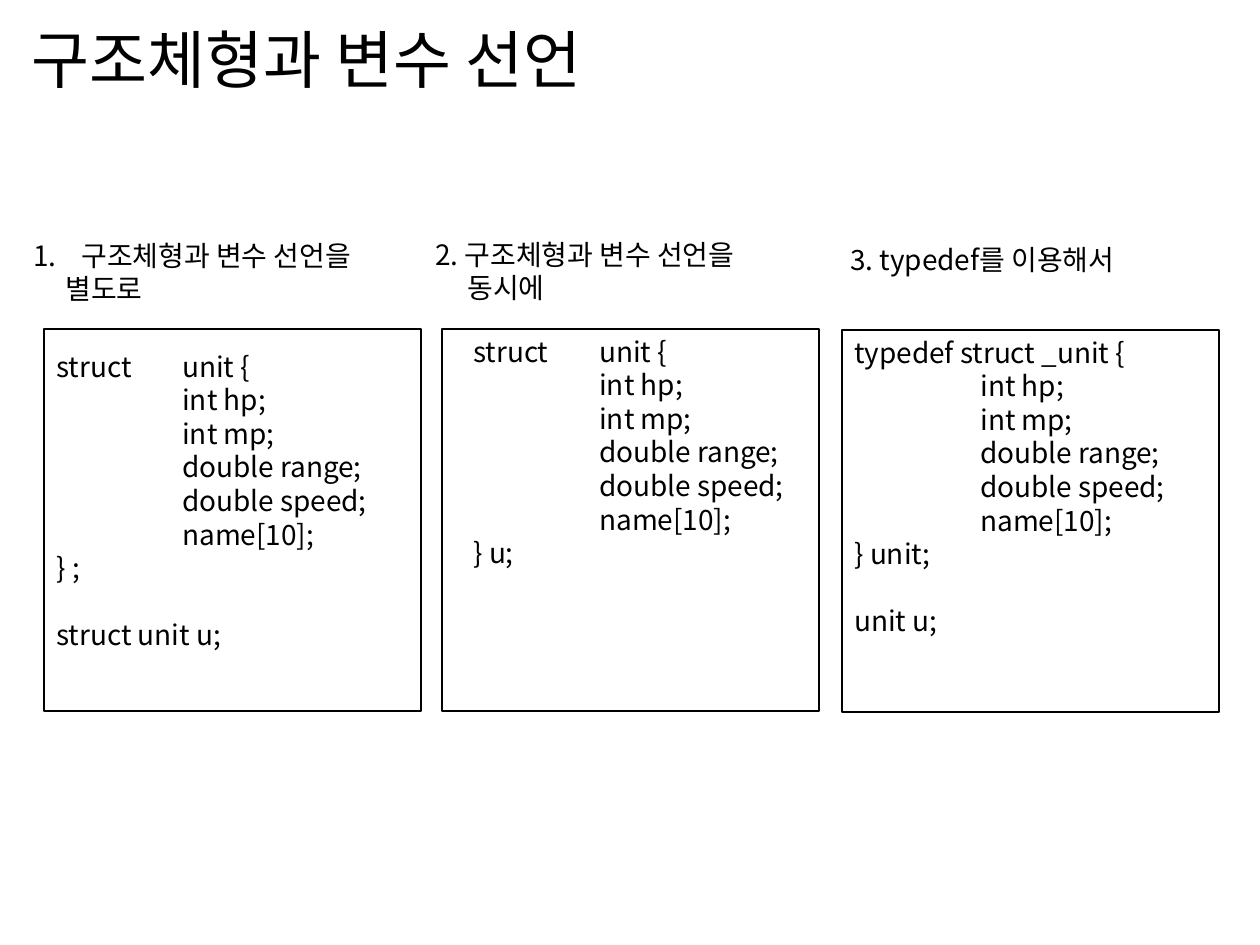
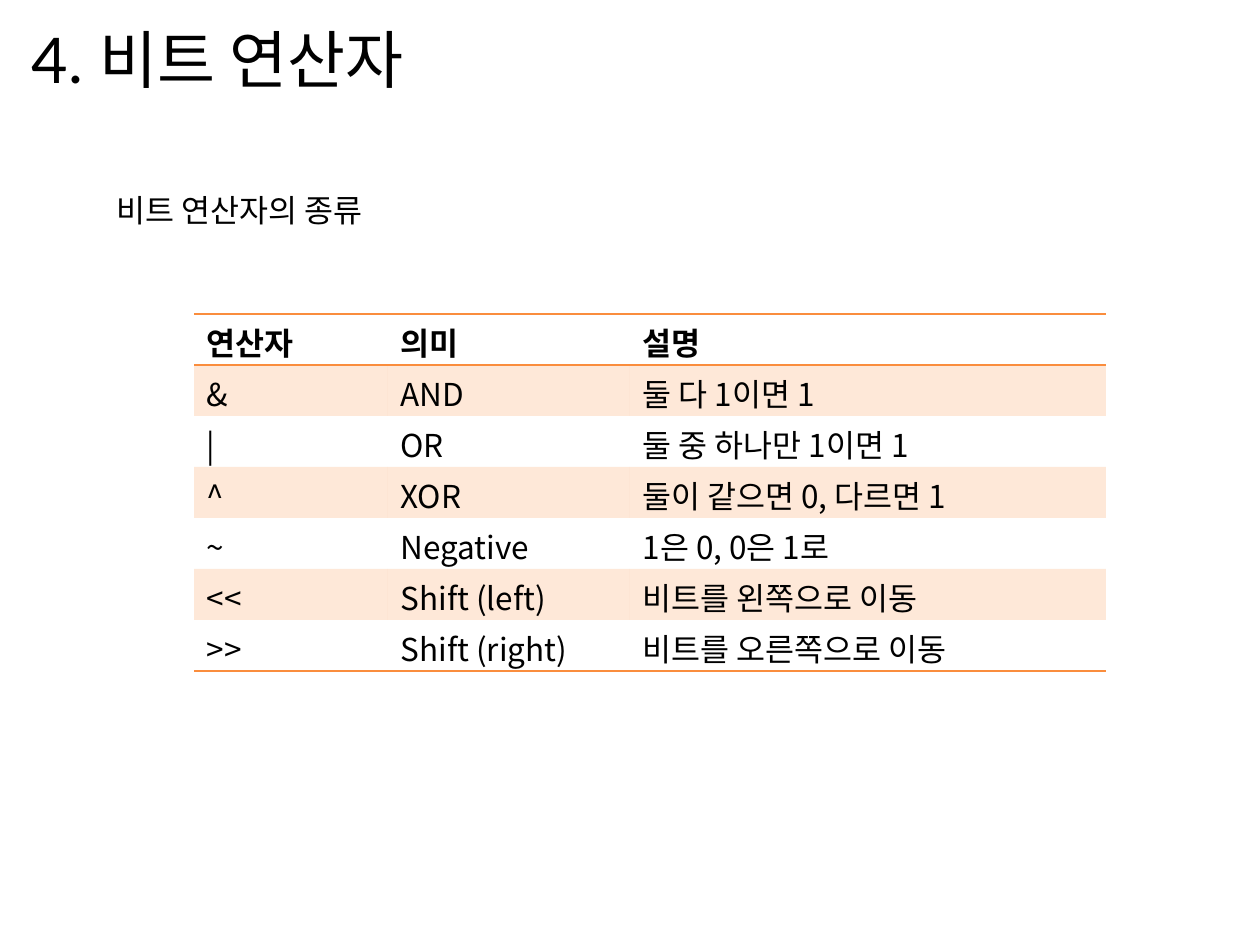
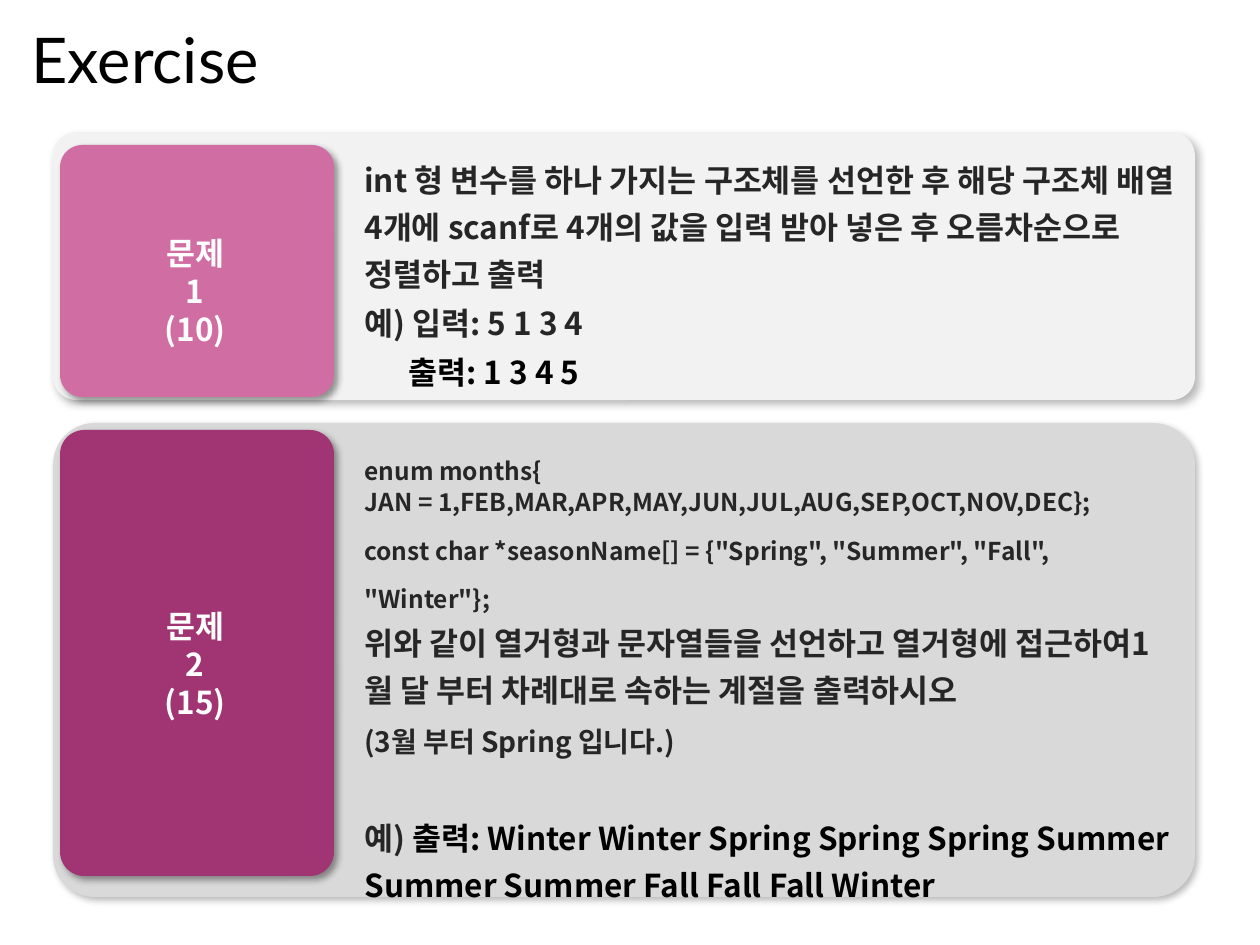
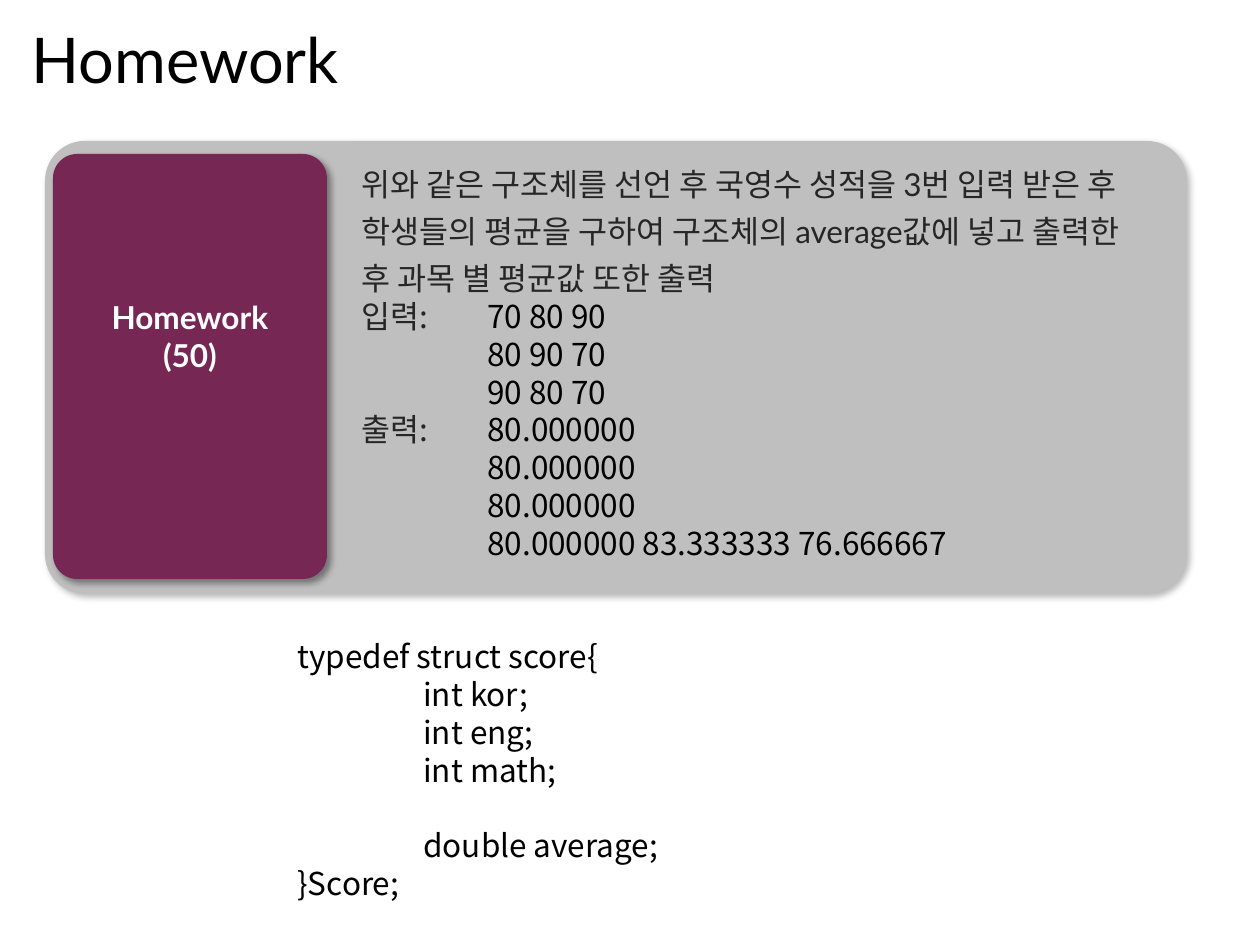
from dataclasses import dataclass

from lxml.etree import SubElement
from pptx import Presentation
from pptx.dml.color import RGBColor
from pptx.enum.shapes import MSO_SHAPE as Preset
from pptx.enum.text import MSO_ANCHOR as Anchor, MSO_AUTO_SIZE as AutoSize, PP_ALIGN as Align
from pptx.oxml.ns import qn
from pptx.util import Emu, Pt

KOREAN, LATIN = "Noto Sans CJK KR", "Lato"
BLACK, WHITE, INK, ORANGE = "000000", "FFFFFF", "262626", "FA8D3D"
TAB = 126
PLAIN_TABLE = "{2D5ABB26-0587-4C30-8999-92F81FD0307C}"
LOOSE = 27


@dataclass
class Line:
    """One paragraph: its spans as (text, colour) pairs and its layout."""

    spans: list
    size: int = 18
    font: str = KOREAN
    bold: bool = False
    spacing: float = 0
    before: float = 0
    margin: int = 0
    hanging: int = 0
    align: Align = Align.LEFT


def px(length):
    """Turn pixels into EMU."""
    return Emu(round(length * 914400 / 126))


def rgb(code):
    """Turn a hex string into a colour."""
    return RGBColor.from_string(code)


def add_span(para, text, color, line):
    """Add one run in the font of its line."""
    span = para.add_run()
    span.text = text
    font = span.font
    font.name, font.size, font.bold = line.font, Pt(line.size), line.bold
    font.color.rgb = rgb(color)
    SubElement(font._element, qn("a:ea"), typeface=KOREAN)


def write(frame, lines):
    """Fill a text frame with lines."""
    frame.word_wrap = True
    for index, line in enumerate(lines):
        para = frame.add_paragraph() if index else frame.paragraphs[0]
        para.alignment = line.align
        para.line_spacing = Pt(line.spacing or line.size * 1.2)
        para.space_before = Pt(line.before)
        props = para._p.get_or_add_pPr()
        props.set("marL", str(px(line.margin)))
        props.set("indent", str(px(-line.hanging)))
        if line.hanging:
            SubElement(props, qn("a:buFont"), typeface="+mj-lt")
            SubElement(props, qn("a:buAutoNum"), type="arabicPeriod")
        if any("\t" in text for text, _ in line.spans):
            tabs = SubElement(props, qn("a:tabLst"))
            SubElement(tabs, qn("a:tab"), pos=str(px(TAB)), algn="l")
        for text, color in line.spans:
            add_span(para, text, color, line)


def add_text(page, box, lines):
    """Add a text box with lines."""
    write(page.shapes.add_textbox(*map(px, box)).text_frame, lines)


def add_code(page, box, groups, size):
    """Add source code as (indented, text) rows in groups one row apart."""
    lines = []
    for group in groups:
        for index, (indented, text) in enumerate(group):
            gap = size * 1.2 if lines and index == 0 else 0
            lines.append(Line([(text, BLACK)], size, before=gap, margin=TAB * indented))
    add_text(page, box, lines)


def add_page(deck, title, font=LATIN):
    """Add a slide with its title."""
    page = deck.slides.add_slide(deck.slide_layouts[5])
    write(page.shapes.title.text_frame, [Line([(title, BLACK)], 36, font)])
    return page


def style_title(deck):
    """Place the title on the layout that all slides share."""
    title = deck.slide_layouts[5].placeholders[0]
    title.left, title.top, title.width, title.height = map(px, (19, 15, 1134, 87))
    title.text_frame.auto_size = AutoSize.NONE
    title.text_frame.vertical_anchor = Anchor.MIDDLE


def add_card(page, box, color, opacity):
    """Add a rounded card with a soft shadow."""
    card = page.shapes.add_shape(Preset.ROUNDED_RECTANGLE, *map(px, box))
    card.adjustments[0] = 0.088
    card.fill.solid()
    card.fill.fore_color.rgb = rgb(color)
    card.line.fill.background()
    card.shadow.inherit = False
    effects = card._element.spPr.find(qn("a:effectLst"))
    shadow = SubElement(effects, qn("a:outerShdw"), blurRad=str(Pt(4)), dist=str(Pt(3)),
                        dir=str(45 * 60000), algn="tl", rotWithShape="0")
    tint = SubElement(shadow, qn("a:srgbClr"), val=BLACK)
    SubElement(tint, qn("a:alpha"), val=str(opacity * 1000))


def add_task(page, box, colors, tile, label_box, label, text_box, lines):
    """Add a task panel: card, coloured tile with a label, and the task text."""
    left, top = box[:2]

    def inside(part):
        """Move a part from panel to slide coordinates."""
        return (left + part[0], top + part[1], *part[2:])

    card_color, tile_color = colors
    label_font, label_rows = label
    add_card(page, box, card_color, 27)
    add_card(page, inside(tile), tile_color, 40)
    add_text(page, inside(label_box),
             [Line([(row, WHITE)], font=label_font, bold=True, align=Align.CENTER)
              for row in label_rows])
    add_text(page, inside(text_box), lines)


def add_declaration(page, box, heading_box, heading, code_offset, groups):
    """Add one way to declare a struct: heading, frame and code."""
    left, top, width, height = box
    frame = page.shapes.add_shape(Preset.RECTANGLE, *map(px, box))
    frame.fill.background()
    frame.line.color.rgb = rgb(BLACK)
    frame.line.width = Pt(1.5)
    frame.shadow.inherit = False
    across, down = code_offset
    add_code(page, (left + across, top + down, width, height - down), groups, 16)
    add_text(page, heading_box, heading)


def declarations_page(deck):
    """Build the slide on struct declarations."""
    page = add_page(deck, "구조체형과 변수 선언", KOREAN)
    fields = [(True, text) for text in
              ("int hp;", "int mp;", "double range;", "double speed;", "name[10];")]
    opening = (False, "struct\tunit {")
    first = "구조체형과 변수 선언을"
    add_declaration(page, (44, 329, 377, 382), (21, 232, 384, 81),
                    [Line([(first, BLACK)], 16, margin=48, hanging=48),
                     Line([("별도로", BLACK)], 16, margin=32)],
                    (0, 14), [[opening, *fields, (False, "} ;")],
                              [(False, "struct unit u;")]])
    add_declaration(page, (442, 329, 377, 382), (423, 231, 374, 81),
                    [Line([("2. " + first, BLACK)], 16),
                     Line([("동시에", BLACK)], 16, margin=32)],
                    (19, -1), [[opening, *fields, (False, "} u;")]])
    add_declaration(page, (842, 330, 377, 382), (838, 236, 326, 47),
                    [Line([("3. typedef를 이용해서", BLACK)], 16)],
                    (0, -1), [[(False, "typedef struct _unit {"), *fields, (False, "} unit;")],
                              [(False, "unit u;")]])


def add_border(cell, side):
    """Draw an orange border on one side of a cell."""
    props = cell._tc.get_or_add_tcPr()
    border = SubElement(props, qn("a:" + side), w=str(Pt(1)))
    SubElement(SubElement(border, qn("a:solidFill")), qn("a:srgbClr"), val=ORANGE)


def fill_cell(cell, text, row, last):
    """Write a cell and give it the borders and the band of its row."""
    cell.margin_top, cell.margin_bottom = px(13), 0
    write(cell.text_frame, [Line([(text, BLACK)], bold=row == 0)])
    if row == 0:
        add_border(cell, "lnT")
    if row in (0, last):
        add_border(cell, "lnB")
    if row % 2:
        cell.fill.solid()
        cell.fill.fore_color.rgb = rgb(ORANGE)
        tint = cell._tc.tcPr.find(qn("a:solidFill")).find(qn("a:srgbClr"))
        SubElement(tint, qn("a:alpha"), val="20000")
    else:
        cell.fill.background()


def add_grid(page, left, top, widths, row_height, rows):
    """Add a table with a ruled header and bands."""
    holder = page.shapes.add_table(len(rows), len(widths), px(left), px(top),
                                   px(sum(widths)), px(row_height * len(rows)))
    table = holder.table
    table.first_row = table.horz_banding = False
    table._tbl.tblPr.find(qn("a:tableStyleId")).text = PLAIN_TABLE
    for column, width in zip(table.columns, widths):
        column.width = px(width)
    for index, texts in enumerate(rows):
        table.rows[index].height = px(row_height)
        for column, text in enumerate(texts):
            fill_cell(table.cell(index, column), text, index, len(rows) - 1)


def operators_page(deck):
    """Build the slide on bit operators."""
    page = add_page(deck, "4. 비트 연산자")
    add_text(page, (104, 185, 301, 50), [Line([("비트 연산자의 종류", BLACK)])])
    add_grid(page, 194, 314, (194, 242, 476), 51, [
        ("연산자", "의미", "설명"),
        ("&", "AND", "둘 다 1이면 1"),
        ("|", "OR", "둘 중 하나만 1이면 1"),
        ("^", "XOR", "둘이 같으면 0, 다르면 1"),
        ("~", "Negative", "1은 0, 0은 1로"),
        ("<<", "Shift (left)", "비트를 왼쪽으로 이동"),
        (">>", "Shift (right)", "비트를 오른쪽으로 이동"),
    ])


def task_line(*spans, size=18, spacing=LOOSE, before=1, margin=0):
    """Make a bold line of an exercise."""
    return Line(list(spans), size, bold=True, spacing=spacing, before=before, margin=margin)


def exercise_page(deck):
    """Build the slide with two exercises."""
    page = add_page(deck, "Exercise")
    add_task(page, (53, 132, 1142, 268), ("F2F2F2", "D06EA4"), (7, 13, 274, 252),
             (96, 96, 92, 90), (KOREAN, ("문제 1", "(10)")), (299, 13, 839, 255), [
        task_line(("int 형 변수를 하나 가지는 구조체를 선언한 후 해당 구조체 배열 4개에 "
                   "scanf로 4개의 값을 입력 받아 넣은 후 오름차순으로 정렬하고 출력", INK)),
        task_line(("예) 입력: 5 1 3 4", INK)),
        task_line(("출력: 1 3 4 5", BLACK), margin=44),
    ])
    add_task(page, (53, 423, 1142, 474), ("D9D9D9", "A13573"), (7, 7, 274, 446),
             (96, 178, 92, 90), (KOREAN, ("문제 2", "(15)")), (299, 27, 839, 417), [
        task_line(("enum months{", INK), size=14, spacing=0),
        task_line(("JAN = 1,FEB,MAR,APR,MAY,JUN,JUL,AUG,SEP,OCT,NOV,DEC};", INK),
                  size=14, spacing=0),
        task_line(('const char *seasonName[] = {"Spring", "Summer", "Fall", "Winter"};', INK),
                  size=14),
        task_line(("위와 같이 열거형과 문자열들을 선언하고 열거형에 접근하여1월 달 부터 "
                   "차례대로 속하는 계절을 출력하시오", INK)),
        task_line(("(3월 부터 Spring 입니다.)", INK), size=16),
        task_line(("예) ", INK),
                  ("출력: Winter Winter Spring Spring Spring Summer Summer Summer "
                   "Fall Fall Fall Winter", BLACK), before=LOOSE + 2),
    ])


def homework_page(deck):
    """Build the slide with the homework and its struct."""
    page = add_page(deck, "Homework")
    inputs = ("70 80 90", "80 90 70", "90 80 70")
    outputs = ("80.000000", "80.000000", "80.000000", "80.000000 83.333333 76.666667")
    results = []
    for name, (head, *rest) in (("입력:\t", inputs), ("출력:\t", outputs)):
        results.append(Line([(name, INK), (head, BLACK)]))
        results += [Line([(values, BLACK)], margin=TAB) for values in rest]
    add_task(page, (45, 141, 1142, 453), ("BFBFBF", "772754"), (8, 13, 274, 425),
             (45, 151, 200, 90), (LATIN, ("Homework", "(50)")), (304, 8, 815, 423), [
        Line([("위와 같은 구조체를 선언 후 국영수 성적을 3번 입력 받은 후 학생들의 평균을 "
               "구하여 구조체의 average값에 넣고 출력한 후 과목 별 평균값 또한 출력", INK)],
             font=LATIN, spacing=LOOSE, before=1),
        *results,
    ])
    add_code(page, (285, 631, 630, 280), [
        [(False, "typedef struct score{"), (True, "int kor;"), (True, "int eng;"),
         (True, "int math;")],
        [(True, "double average;"), (False, "}Score;")],
    ], 18)


def main():
    """Build the deck and save it."""
    deck = Presentation()
    deck.slide_width, deck.slide_height = px(1260), px(945)
    style_title(deck)
    for build in (declarations_page, operators_page, exercise_page, homework_page):
        build(deck)
    deck.save("out.pptx")


if __name__ == "__main__":
    main()
